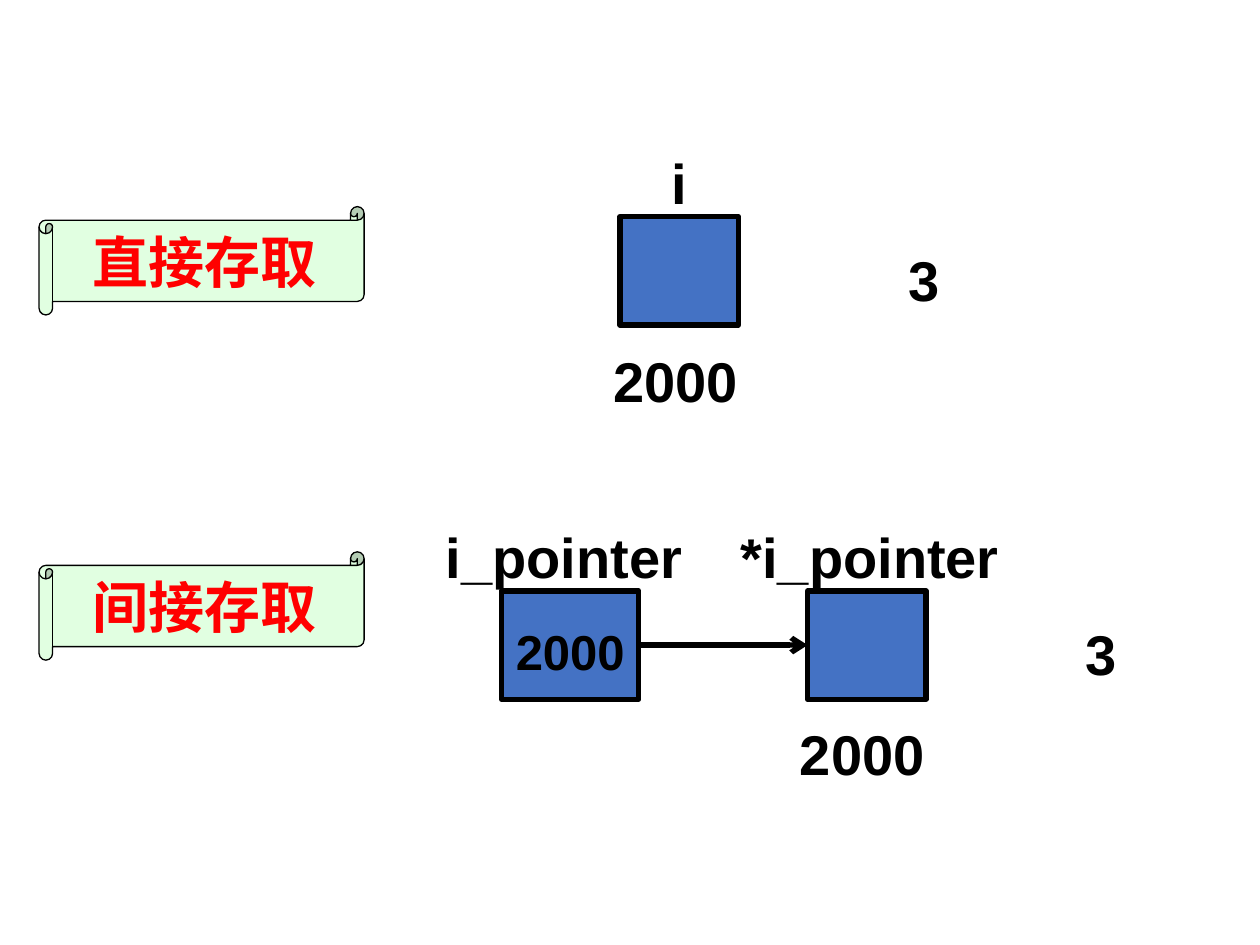
from lxml import etree
from pptx import Presentation
from pptx.dml.color import RGBColor
from pptx.enum import shapes, text
from pptx.oxml import ns
from pptx.util import Inches, Pt

BLACK = RGBColor(0x00, 0x00, 0x00)
RED = RGBColor(0xFF, 0x00, 0x00)
BLUE = RGBColor(0x44, 0x72, 0xC4)
PALE_GREEN = RGBColor(0xE1, 0xFF, 0xE1)

CELL_HEIGHT = 0.86
LABEL_HEIGHT = 0.64


def write(shape, wording, size=32, color=BLACK, align=text.PP_ALIGN.LEFT,
          anchor=text.MSO_ANCHOR.TOP, top=0.09, bottom=0.04):
    """Put one bold line in the shape; top and bottom are insets in inches."""
    frame = shape.text_frame
    frame_format = {"word_wrap": False, "vertical_anchor": anchor,
                    "margin_top": Inches(top), "margin_bottom": Inches(bottom)}
    for name, value in frame_format.items():
        setattr(frame, name, value)
    paragraph = frame.paragraphs[0]
    paragraph.alignment = align
    run = paragraph.add_run()
    run.text = wording
    for name, value in {"name": "Arial", "size": Pt(size), "bold": True}.items():
        setattr(run.font, name, value)
    run.font.color.rgb = color


def add_box(kind, left, top, width, fill, line_width):
    shape = slide.shapes.add_shape(
        kind, Inches(left), Inches(top), Inches(width), Inches(CELL_HEIGHT))
    shape.shadow.inherit = False
    shape.fill.solid()
    shape.fill.fore_color.rgb = fill
    shape.line.color.rgb = BLACK
    shape.line.width = Pt(line_width)
    return shape


presentation = Presentation()
presentation.slide_width = Inches(10)
presentation.slide_height = Inches(7.5)
slide = presentation.slides.add_slide(presentation.slide_layouts[6])

# Memory cells: left, top, width, content
for left, top, width, content in [
    (4.92, 1.72, 0.94, ""),
    (3.98, 4.69, 1.09, "2000"),
    (6.41, 4.69, 0.94, ""),
]:
    cell = add_box(shapes.MSO_SHAPE.RECTANGLE, left, top, width, BLUE, 3)
    if content:
        write(cell, content, size=28, align=text.PP_ALIGN.CENTER, top=0.24)

# Names, addresses and values around the cells
for wording, left, top, width in [
    ("i", 5.23, 1.09, 0.55),
    ("2000", 4.77, 2.66, 1.25),
    ("3", 7.11, 1.86, 0.55),
    ("i_pointer", 3.44, 4.06, 2.19),
    ("*i_pointer", 5.78, 4.06, 2.42),
    ("2000", 6.25, 5.62, 1.25),
    ("3", 8.52, 4.83, 0.55),
]:
    label = slide.shapes.add_textbox(
        Inches(left), Inches(top), Inches(width), Inches(LABEL_HEIGHT))
    write(label, wording)

# Pointer arrow
arrow = slide.shapes.add_connector(
    shapes.MSO_CONNECTOR.STRAIGHT,
    Inches(5.08), Inches(5.12), Inches(6.41), Inches(5.12))
arrow.line.color.rgb = BLACK
arrow.line.width = Pt(3)
etree.SubElement(arrow.line._get_or_add_ln(), ns.qn("a:tailEnd"), type="arrow")
etree.SubElement(arrow._element.spPr, ns.qn("a:effectLst"))

# Access mode banners
for wording, top in [("直接存取", 1.64), ("间接存取", 4.38)]:
    banner = add_box(shapes.MSO_SHAPE.HORIZONTAL_SCROLL, 0.31, top, 2.58, PALE_GREEN, 0.75)
    banner.adjustments[0] = 0.125
    write(banner, wording, color=RED, align=text.PP_ALIGN.CENTER,
          anchor=text.MSO_ANCHOR.MIDDLE, top=0.05, bottom=0.05)

presentation.save("out.pptx")
